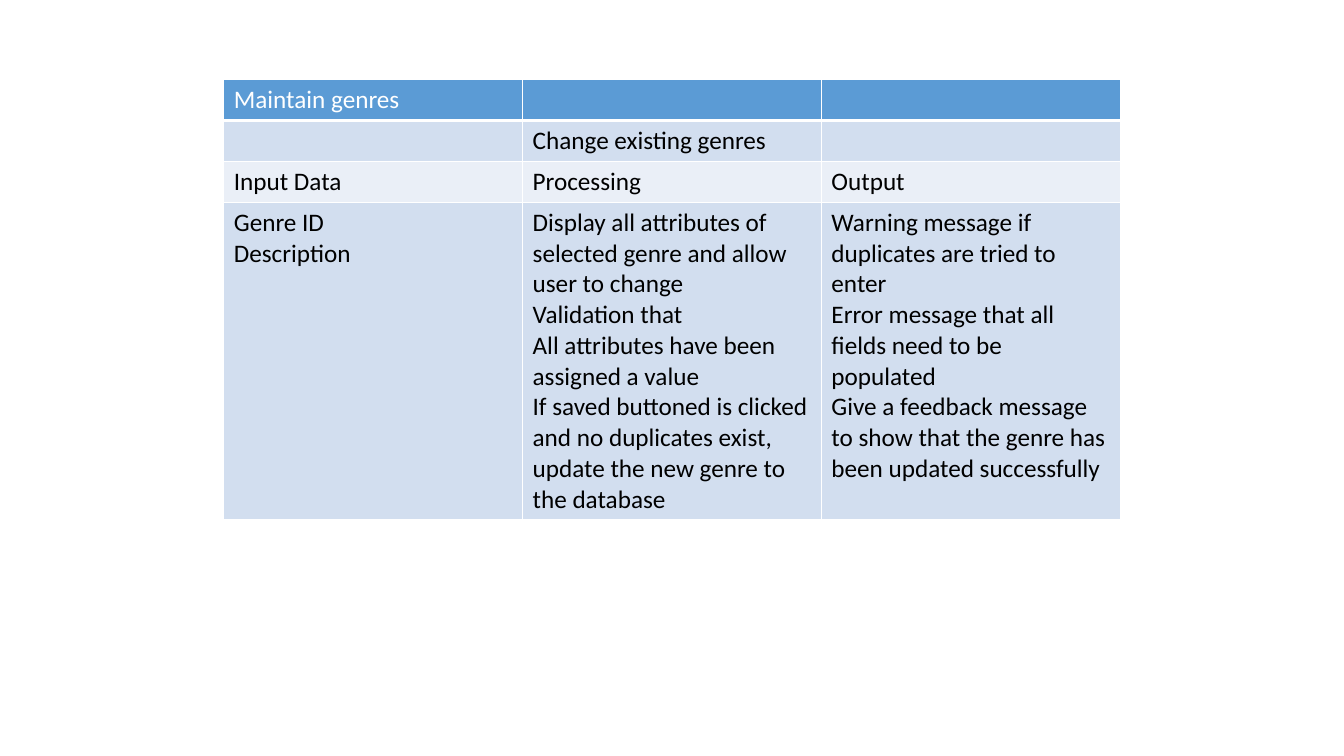
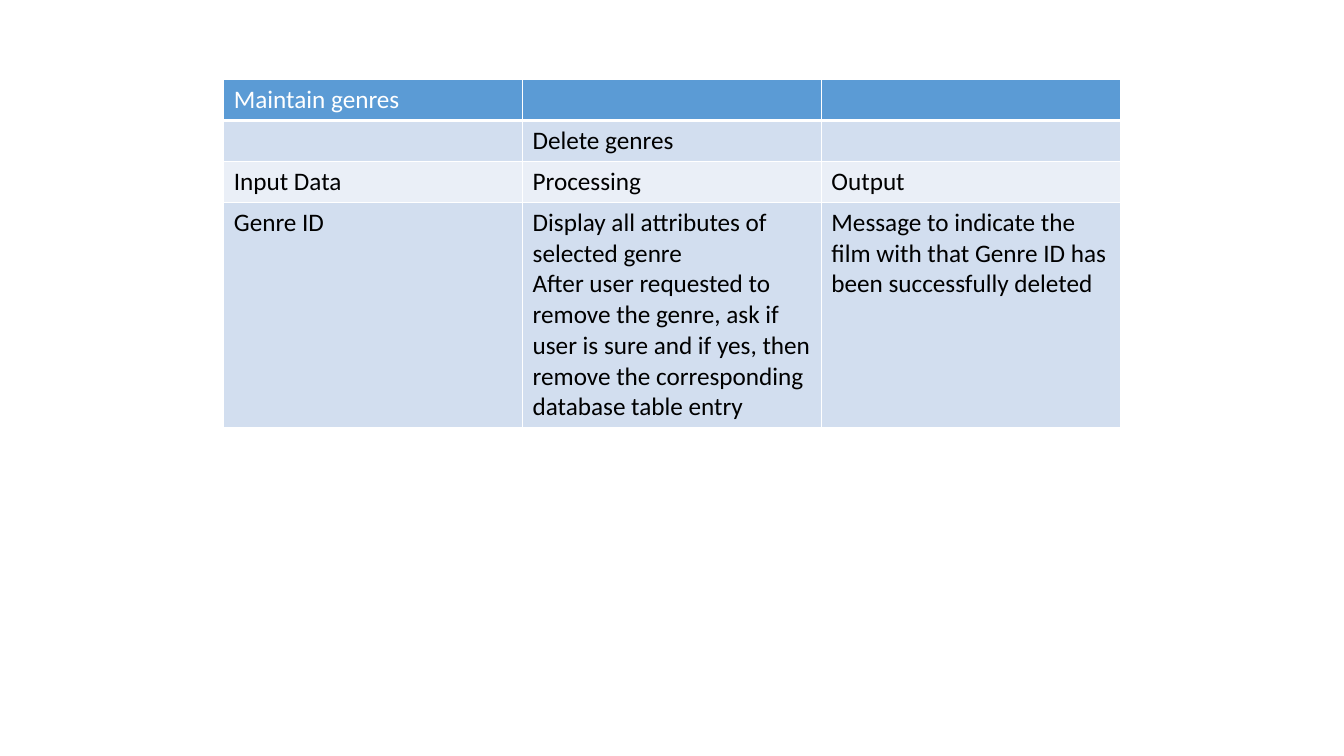
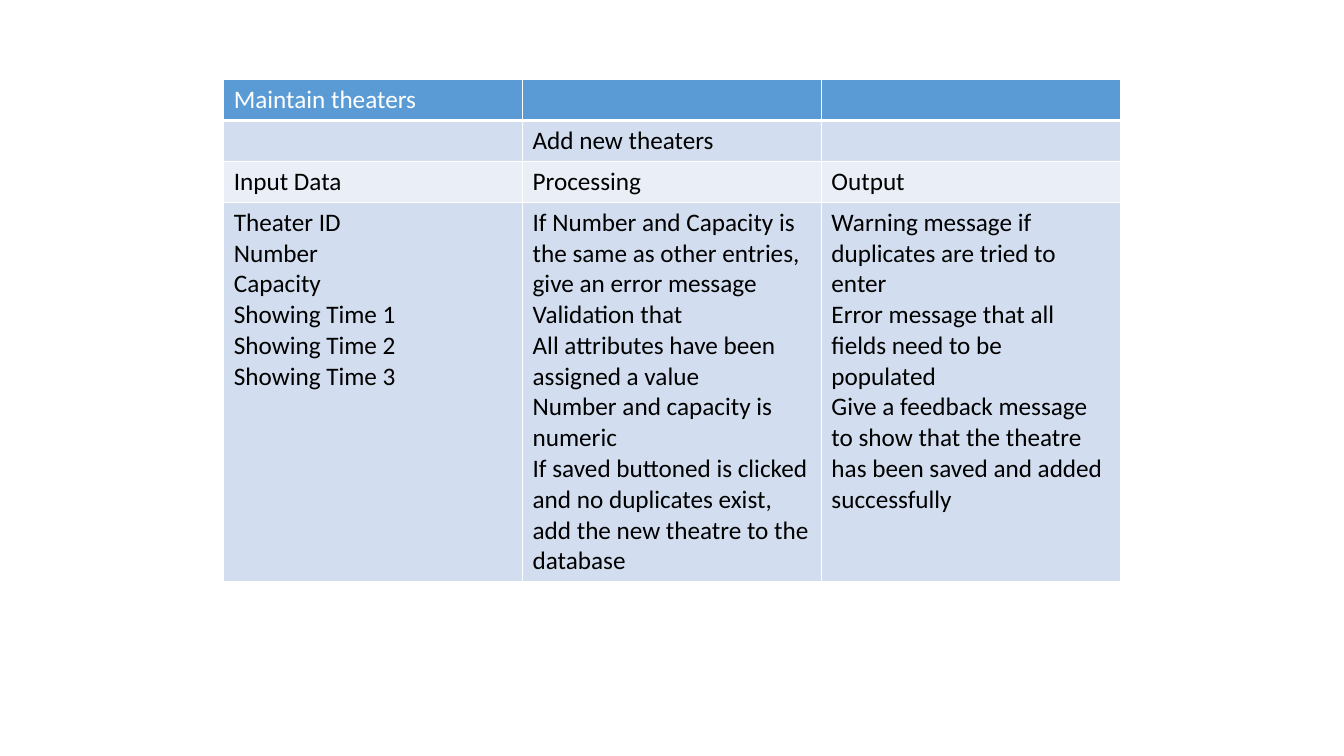
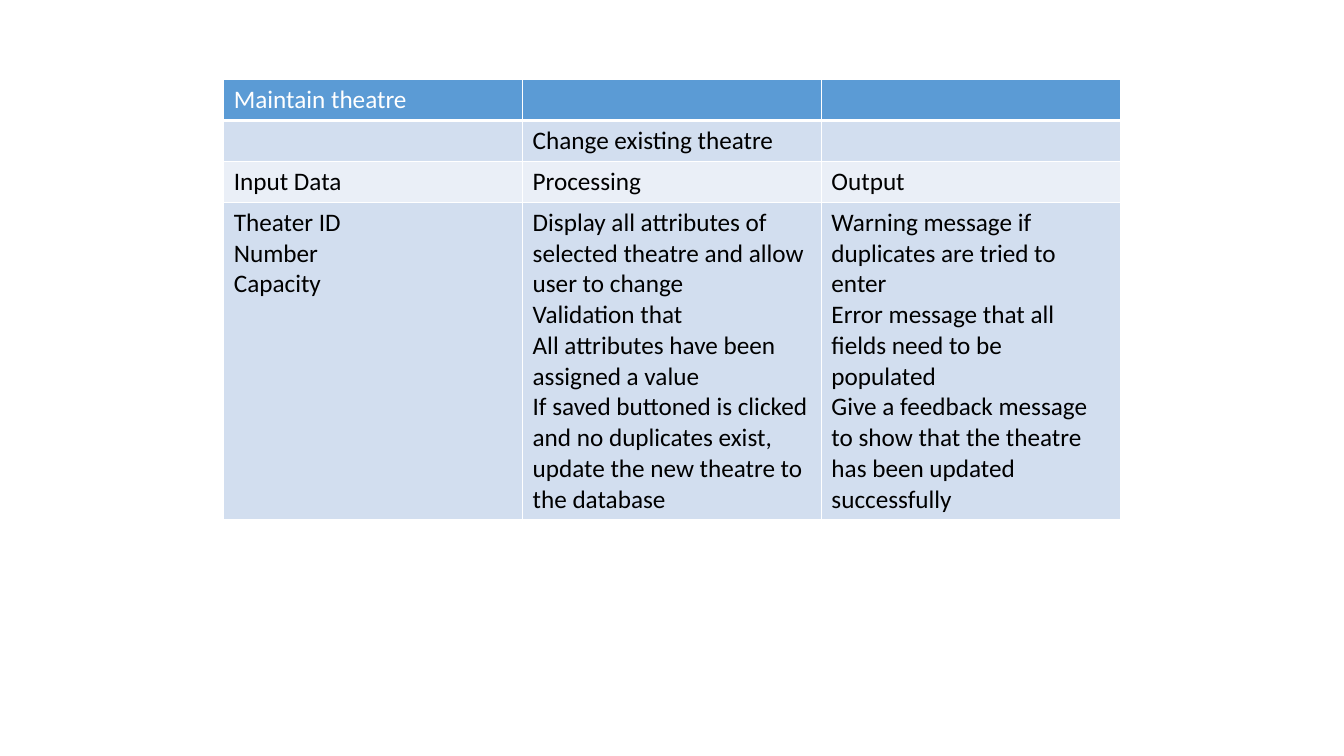
from dataclasses import dataclass

from lxml import etree
from pptx import Presentation
from pptx.dml.color import RGBColor
from pptx.oxml.ns import qn
from pptx.util import Cm, Pt


@dataclass(frozen=True)
class Theme:
    font: str = "Calibri"
    size: int = 18
    text: str = "000000"
    header_text: str = "FFFFFF"
    header: str = "5B9BD5"
    dark_band: str = "D2DEEF"
    light_band: str = "EAEFF7"
    border: str = "FFFFFF"
    thin: int = 1
    thick: int = 3


THEME = Theme()
BLANK_LAYOUT = 6

# Table geometry in centimetres
LEFT, TOP = 5.64, 2.01
COLUMN_WIDTH, ROW_HEIGHT = 7.53, 1.03
LINE_HEIGHT, CELL_PADDING = 0.76, 0.25


def write_text(frame, lines, *, color=THEME.text, size=THEME.size, bold=False):
    """Write one paragraph per line."""
    for index, line in enumerate(lines):
        para = frame.paragraphs[0] if index == 0 else frame.add_paragraph()
        span = para.add_run()
        span.text = line
        span.font.name = THEME.font
        span.font.size = Pt(size)
        span.font.bold = bold
        span.font.color.rgb = RGBColor.from_string(color)


def style_cell(cell, fill, *, bottom=THEME.thin):
    """Draw the four borders of a cell, then fill it."""
    properties = cell._tc.get_or_add_tcPr()
    for side in "LRTB":
        width = bottom if side == "B" else THEME.thin
        line = etree.SubElement(properties, qn(f"a:ln{side}"), w=str(Pt(width)))
        solid = etree.SubElement(line, qn("a:solidFill"))
        etree.SubElement(solid, qn("a:srgbClr"), val=THEME.border)
    cell.fill.solid()
    cell.fill.fore_color.rgb = RGBColor.from_string(fill)


# Wording shared by several functions
VALIDATION = ["Validation that", "All attributes have been assigned a value"]
SAVE_CHECK = "If saved buttoned is clicked and no duplicates exist, "
WARNINGS = [
    "Warning message if duplicates are tried to enter",
    "Error message that all fields need to be populated",
]
FEEDBACK = "Give a feedback message to show that the "
COLUMN_HEADS = [["Input Data"], ["Processing"], ["Output"]]

# One entry per slide: heading, function, lines in tallest cell, body cells
FUNCTIONS = [
    ("Maintain genres", "Change existing genres", 10, [
        ["Genre ID", "Description"],
        ["Display all attributes of selected genre and allow user to change",
         *VALIDATION,
         SAVE_CHECK + "update the new genre to the database"],
        [*WARNINGS, FEEDBACK + "genre has been updated successfully"],
    ]),
    ("Maintain genres", "Delete genres", 7, [
        ["Genre ID"],
        ["Display all attributes of selected genre",
         "After user requested to remove the genre, ask if user is sure and "
         "if yes, then remove the corresponding database table entry"],
        ["Message to indicate the film with that Genre ID has been "
         "successfully deleted"],
    ]),
    ("Maintain theaters", "Add new theaters", 12, [
        ["Theater ID", "Number", "Capacity",
         "Showing Time 1", "Showing Time 2", "Showing Time 3"],
        ["If Number and Capacity is the same as other entries, give an error "
         "message",
         *VALIDATION,
         "Number and capacity is numeric",
         SAVE_CHECK + "add the new theatre to the database"],
        [*WARNINGS, FEEDBACK + "theatre has been saved and added successfully"],
    ]),
    ("Maintain theatre", "Change existing theatre", 10, [
        ["Theater ID", "Number", "Capacity"],
        ["Display all attributes of selected theatre and allow user to change",
         *VALIDATION,
         SAVE_CHECK + "update the new theatre to the database"],
        [*WARNINGS, FEEDBACK + "theatre has been updated successfully"],
    ]),
]

deck = Presentation()
deck.slide_width, deck.slide_height = Cm(33.87), Cm(19.05)

# One table per slide
for heading, function, line_count, body in FUNCTIONS:
    page = deck.slides.add_slide(deck.slide_layouts[BLANK_LAYOUT])
    rows = [[[heading], [], []], [[], [function], []], COLUMN_HEADS, body]
    fills = [THEME.header, THEME.dark_band, THEME.light_band, THEME.dark_band]
    body_height = line_count * LINE_HEIGHT + CELL_PADDING
    heights = [ROW_HEIGHT] * 3 + [body_height]

    table = page.shapes.add_table(
        len(rows), len(COLUMN_HEADS), Cm(LEFT), Cm(TOP),
        Cm(COLUMN_WIDTH * len(COLUMN_HEADS)), Cm(sum(heights))).table
    table.horz_banding = False
    for column in table.columns:
        column.width = Cm(COLUMN_WIDTH)

    for row_index, (cells, fill, height) in enumerate(zip(rows, fills, heights)):
        table.rows[row_index].height = Cm(height)
        is_header = row_index == 0
        for column_index, lines in enumerate(cells):
            cell = table.cell(row_index, column_index)
            style_cell(cell, fill, bottom=THEME.thick if is_header else THEME.thin)
            write_text(cell.text_frame, lines,
                       color=THEME.header_text if is_header else THEME.text)

deck.save("out.pptx")
